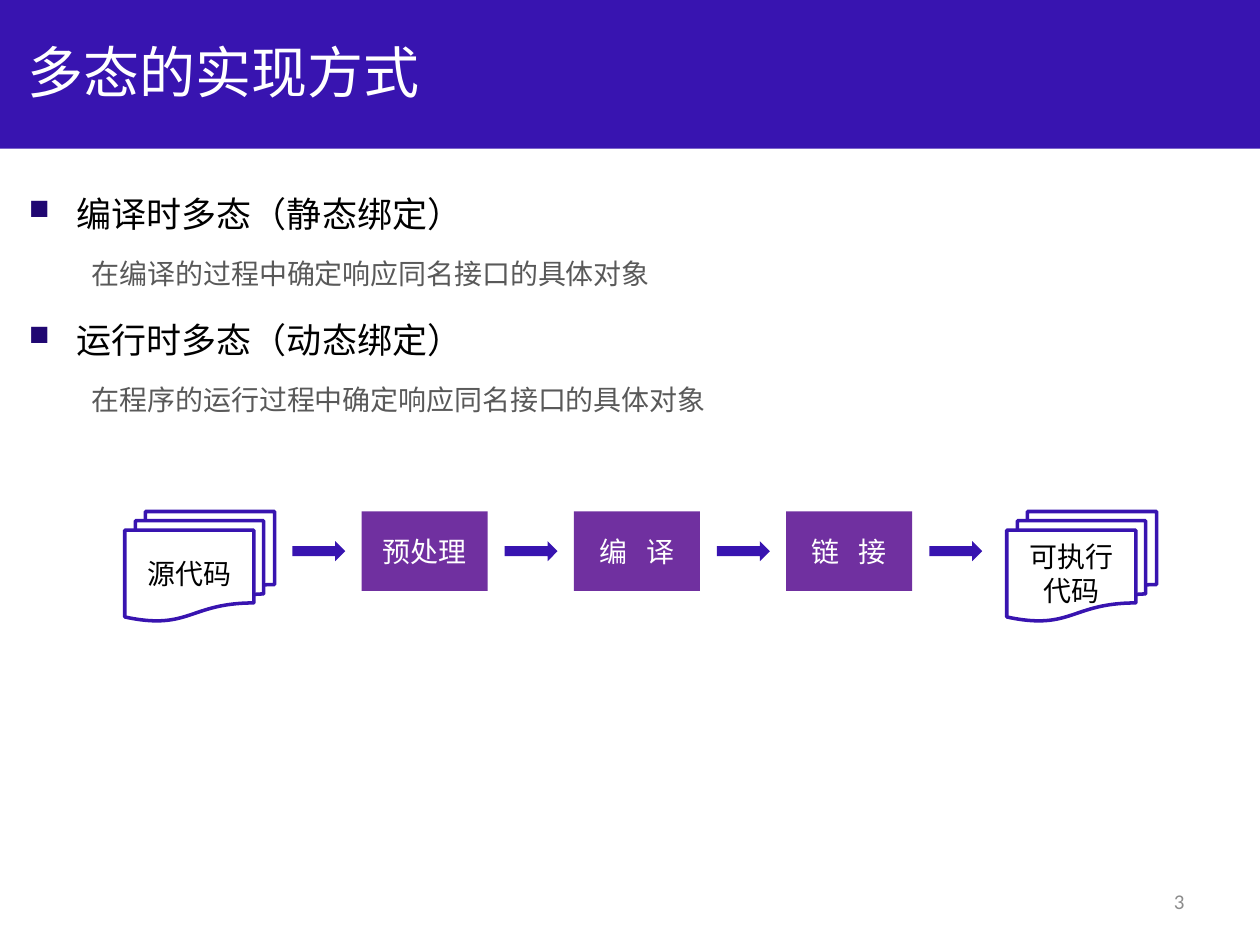
from pptx import Presentation
from pptx.dml.color import RGBColor
from pptx.enum.shapes import MSO_SHAPE
from pptx.enum.text import MSO_ANCHOR, PP_ALIGN
from pptx.oxml.ns import qn
from pptx.util import Inches, Pt
from lxml.etree import SubElement

TITLE = "多态的实现方式"
POINTS = [
    ("编译时多态（静态绑定）", "在编译的过程中确定响应同名接口的具体对象"),
    ("运行时多态（动态绑定）", "在程序的运行过程中确定响应同名接口的具体对象"),
]
STEPS = [("预处理",), ("编", " ", "译"), ("链", " ", "接")]
DOCUMENTS = [(0.99, "源代码"), (7.99, "可执行代码")]
PAGE_NUMBER = "3"

INDIGO, PURPLE, BULLET = "3814B0", "7030A0", "200772"
WHITE, BLACK, DARK_GREY, GREY = "FFFFFF", "000000", "595959", "8C8C8C"
LATIN, CHINESE = "Calibri", "Noto Sans CJK SC"
FLOW_TOP, STEP_HEIGHT, ARROW_HEIGHT = 4.06, 0.63, 0.16
FIRST_STEP, LAST_STEP, FIRST_ARROW = 2.87, 6.24, 2.32
PITCH = (LAST_STEP - FIRST_STEP) / (len(STEPS) - 1)
GAP_SPACING = 720


def color(value):
    return RGBColor.from_string(value)


def add_span(para, text, size, tint, font=LATIN):
    span = para.add_run()
    span.text = text
    span.font.size = Pt(size)
    span.font.color.rgb = color(tint)
    span.font.name = font
    properties = span.font._element
    SubElement(properties, qn("a:ea"), typeface=CHINESE)
    if text == " ":
        properties.set("spc", str(GAP_SPACING))


def add_shape(page, kind, left, top, width, height, fill=None, line=None):
    shape = page.shapes.add_shape(kind, *map(Inches, (left, top, width, height)))
    shape.shadow.inherit = False
    if fill:
        shape.fill.solid()
        shape.fill.fore_color.rgb = color(fill)
    else:
        shape.fill.background()
    if line:
        shape.line.color.rgb = color(line)
        shape.line.width = Pt(2)
    else:
        shape.line.fill.background()
    return shape


def label(shape, spans, tint):
    shape.text_frame.word_wrap = True
    shape.text_frame.vertical_anchor = MSO_ANCHOR.MIDDLE
    para = shape.text_frame.paragraphs[0]
    para.alignment = PP_ALIGN.CENTER
    for text in spans:
        add_span(para, text, 16, tint, CHINESE)


def add_text_box(page, left, top, width, height):
    box = page.shapes.add_textbox(*map(Inches, (left, top, width, height)))
    box.text_frame.word_wrap = True
    return box.text_frame


def add_point(para, text, size, tint, indent, bullet=False):
    para.line_spacing = 1.5
    para.space_before = Pt(size * 0.2)
    properties = para._p.get_or_add_pPr()
    properties.set("marL", str(Inches(indent)))
    properties.set("indent", str(-Inches(indent) if bullet else 0))
    if bullet:
        tone = SubElement(properties, qn("a:buClr"))
        SubElement(tone, qn("a:srgbClr"), val=BULLET)
        SubElement(properties, qn("a:buSzPct"), val="80000")
        SubElement(properties, qn("a:buChar"), char="■")
    else:
        para.level = 1
        SubElement(properties, qn("a:buNone"))
    add_span(para, text, size, tint)


def add_header(page):
    band = add_shape(page, MSO_SHAPE.RECTANGLE, 0, 0, 10, 1.18, INDIGO)
    title = page.shapes.title
    title.element.addprevious(band.element)
    title.left, title.top = Inches(0.12), Inches(0.06)
    title.width, title.height = Inches(9), Inches(1.01)
    title.text_frame.vertical_anchor = MSO_ANCHOR.MIDDLE
    para = title.text_frame.paragraphs[0]
    para.alignment = PP_ALIGN.LEFT
    add_span(para, TITLE, 32, WHITE)


def add_points(page):
    frame = add_text_box(page, 0.13, 1.31, 7.28, 2.13)
    para = frame.paragraphs[0]
    for index, (heading, detail) in enumerate(POINTS):
        if index:
            para = frame.add_paragraph()
        add_point(para, heading, 20, BLACK, 0.38, bullet=True)
        add_point(frame.add_paragraph(), detail, 16, DARK_GREY, 0.5)


def add_flow(page):
    for index, spans in enumerate(STEPS):
        left = FIRST_STEP + index * PITCH
        step = add_shape(page, MSO_SHAPE.RECTANGLE, left, FLOW_TOP, 1, STEP_HEIGHT, PURPLE)
        label(step, spans, WHITE)
    arrow_top = FLOW_TOP + (STEP_HEIGHT - ARROW_HEIGHT) / 2
    for index in range(len(STEPS) + 1):
        left = FIRST_ARROW + index * PITCH
        add_shape(page, MSO_SHAPE.RIGHT_ARROW, left, arrow_top, 0.42, ARROW_HEIGHT, INDIGO)
    for left, text in DOCUMENTS:
        document = add_shape(page, MSO_SHAPE.FLOWCHART_MULTIDOCUMENT,
                             left, FLOW_TOP, 1.19, 0.87, line=INDIGO)
        label(document, [text], BLACK)


def add_page_number(page):
    frame = add_text_box(page, 7.17, 6.95, 2.33, 0.4)
    frame.vertical_anchor = MSO_ANCHOR.MIDDLE
    para = frame.paragraphs[0]
    para.alignment = PP_ALIGN.RIGHT
    add_span(para, PAGE_NUMBER, 12, GREY)


def main():
    """Build the slide on ways to implement polymorphism."""
    deck = Presentation()
    deck.slide_width, deck.slide_height = Inches(10), Inches(7.5)
    page = deck.slides.add_slide(deck.slide_layouts[5])
    add_header(page)
    add_points(page)
    add_flow(page)
    add_page_number(page)
    deck.save("out.pptx")


main()
